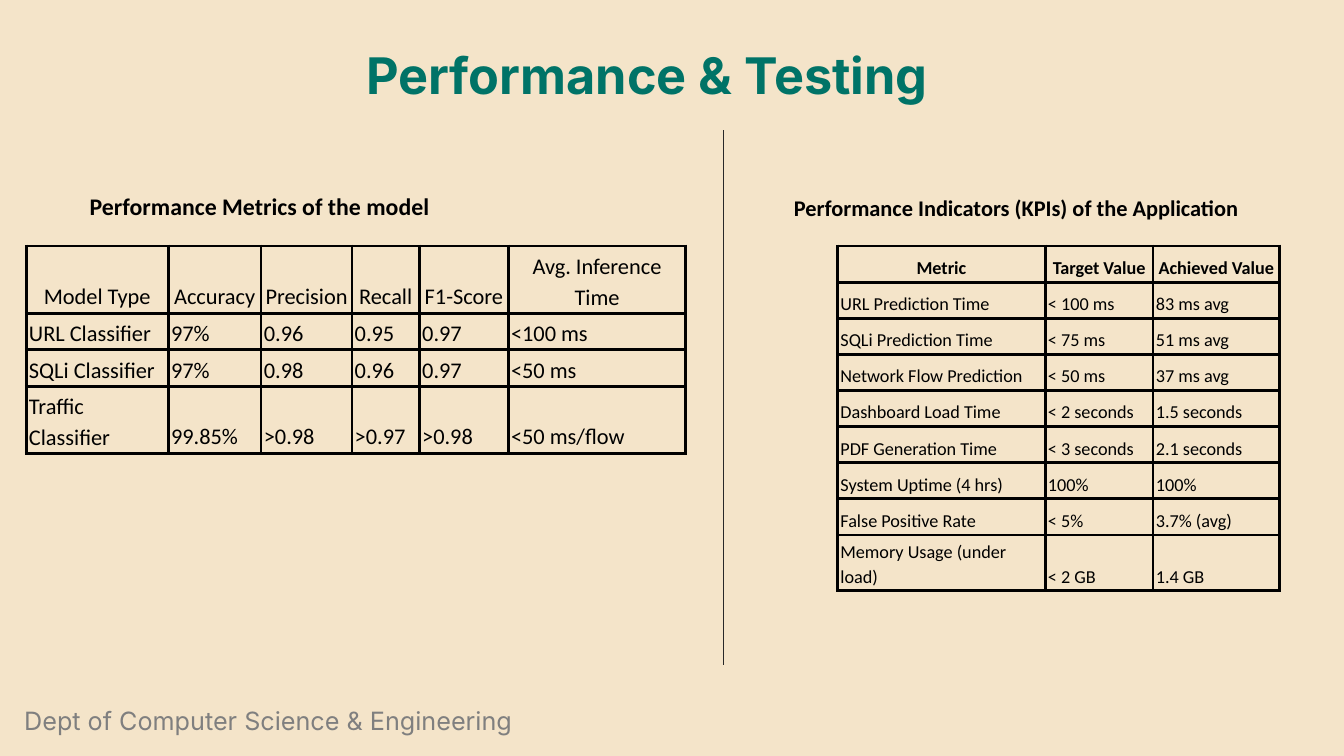
import lxml.etree
import pptx
import pptx.dml.color
import pptx.enum.shapes
import pptx.enum.text
import pptx.oxml.ns
import pptx.util

Cm = pptx.util.Cm
Pt = pptx.util.Pt
ALIGN = pptx.enum.text.PP_ALIGN
ANCHOR = pptx.enum.text.MSO_ANCHOR

BLACK = "000000"
TEXTS = [
    {"text": "Performance & Testing", "box": (5.77, 0.99, 21.08, 1.8),
     "margins": (0.25, 0.13), "align": ALIGN.CENTER, "spacing": 1.0,
     "font": {"name": "Inter", "size": Pt(36), "bold": True}, "color": "007367"},
    {"text": "Dept of Computer Science & Engineering", "box": (0.36, 17.65, 13.31, 1.35),
     "margins": (0.25, 0.13), "align": ALIGN.LEFT, "spacing": 1.0,
     "font": {"name": "Inter", "size": Pt(18), "bold": False}, "color": "7F7F7F"},
    {"text": "Performance Metrics of the model", "box": (2.01, 4.52, 9.86, 1.24),
     "margins": (0.25, 0.25), "align": ALIGN.LEFT, "spacing": 1.07,
     "font": {"name": "Calibri", "size": Pt(17), "bold": True}, "color": BLACK},
    {"text": "Performance Indicators (KPIs) of the Application", "box": (19.76, 4.6, 13.31, 1.19),
     "margins": (0.25, 0.25), "align": ALIGN.LEFT, "spacing": 1.07,
     "font": {"name": "Calibri", "size": Pt(16), "bold": True}, "color": BLACK},
]
TABLES = [
    {"left": 21.11, "widths": (5.23, 2.72, 3.18), "size": 13, "bold_header": True,
     "rows": [
         ("Metric", "Target Value", "Achieved Value"),
         ("URL Prediction Time", "< 100 ms", "83 ms avg"),
         ("SQLi Prediction Time", "< 75 ms", "51 ms avg"),
         ("Network Flow Prediction", "< 50 ms", "37 ms avg"),
         ("Dashboard Load Time", "< 2 seconds", "1.5 seconds"),
         ("PDF Generation Time", "< 3 seconds", "2.1 seconds"),
         ("System Uptime (4 hrs)", "100%", "100%"),
         ("False Positive Rate", "< 5%", "3.7% (avg)"),
         ("Memory Usage (under load)", "< 2 GB", "1.4 GB"),
     ]},
    {"left": 0.66, "widths": (3.58, 2.34, 2.29, 1.7, 2.24, 4.47), "size": 16, "bold_header": False,
     "rows": [
         ("Model Type", "Accuracy", "Precision", "Recall", "F1-Score", "Avg. Inference Time"),
         ("URL Classifier", "97%", "0.96", "0.95", "0.97", "<100 ms"),
         ("SQLi Classifier", "97%", "0.98", "0.96", "0.97", "<50 ms"),
         ("Traffic Classifier", "99.85%", ">0.98", ">0.97", ">0.98", "<50 ms/flow"),
     ]},
]
TABLE_TOP = 6.2
ROW_HEIGHT = 0.91
CELL_MARGIN = 0.07
DIVIDER = (18.24, 3.28, 18.24, 16.76)


def rgb(color):
    return pptx.dml.color.RGBColor.from_string(color)


def set_attributes(target, values):
    for name, value in values.items():
        setattr(target, name, value)


def margins(horizontal, vertical):
    return {"margin_left": Cm(horizontal), "margin_right": Cm(horizontal),
            "margin_top": Cm(vertical), "margin_bottom": Cm(vertical)}


def write(frame, text, align, spacing, font, color):
    frame.word_wrap = True
    paragraph = frame.paragraphs[0]
    set_attributes(paragraph, {"alignment": align, "line_spacing": spacing})
    run = paragraph.add_run()
    run.text = text
    set_attributes(run.font, font)
    run.font.color.rgb = rgb(color)


def add_text(slide, item):
    shape = slide.shapes.add_textbox(*map(Cm, item["box"]))
    set_attributes(shape.text_frame, margins(*item["margins"]))
    write(shape.text_frame, item["text"], item["align"], item["spacing"], item["font"], item["color"])


def add_borders(cell):
    properties = cell._tc.get_or_add_tcPr()
    for side in ("a:lnL", "a:lnR", "a:lnT", "a:lnB"):
        line = lxml.etree.SubElement(properties, pptx.oxml.ns.qn(side), w=str(Pt(2.25)))
        fill = lxml.etree.SubElement(line, pptx.oxml.ns.qn("a:solidFill"))
        lxml.etree.SubElement(fill, pptx.oxml.ns.qn("a:srgbClr"), val=BLACK)


def add_table(slide, item):
    rows, widths = item["rows"], item["widths"]
    table = slide.shapes.add_table(
        len(rows), len(widths), Cm(item["left"]), Cm(TABLE_TOP),
        Cm(sum(widths)), Cm(ROW_HEIGHT * len(rows))).table
    set_attributes(table, {"first_row": False, "horz_banding": False})
    for column, width in zip(table.columns, widths):
        column.width = Cm(width)
    for row_index, row in enumerate(rows):
        table.rows[row_index].height = Cm(ROW_HEIGHT)
        header = row_index == 0
        font = {"name": "Calibri", "size": Pt(item["size"]), "bold": header and item["bold_header"]}
        for column_index, text in enumerate(row):
            cell = table.cell(row_index, column_index)
            add_borders(cell)
            cell.fill.background()
            set_attributes(cell, margins(CELL_MARGIN, CELL_MARGIN))
            cell.vertical_anchor = ANCHOR.BOTTOM
            write(cell.text_frame, text, ALIGN.CENTER if header else ALIGN.LEFT, 1.15, font, BLACK)


def add_divider(slide):
    connector = slide.shapes.add_connector(
        pptx.enum.shapes.MSO_CONNECTOR.STRAIGHT, *map(Cm, DIVIDER))
    connector.line.color.rgb = rgb("282828")
    connector.line.width = Pt(0.75)
    lxml.etree.SubElement(connector._element.spPr, pptx.oxml.ns.qn("a:effectLst"))


def main():
    presentation = pptx.Presentation()
    set_attributes(presentation, {"slide_width": Cm(33.87), "slide_height": Cm(19.05)})
    slide = presentation.slides.add_slide(presentation.slide_layouts[6])
    slide.background.fill.solid()
    slide.background.fill.fore_color.rgb = rgb("F4E4C9")
    for item in TEXTS[:2]:
        add_text(slide, item)
    for item in TABLES:
        add_table(slide, item)
    add_divider(slide)
    for item in TEXTS[2:]:
        add_text(slide, item)
    presentation.save("out.pptx")


if __name__ == "__main__":
    main()
